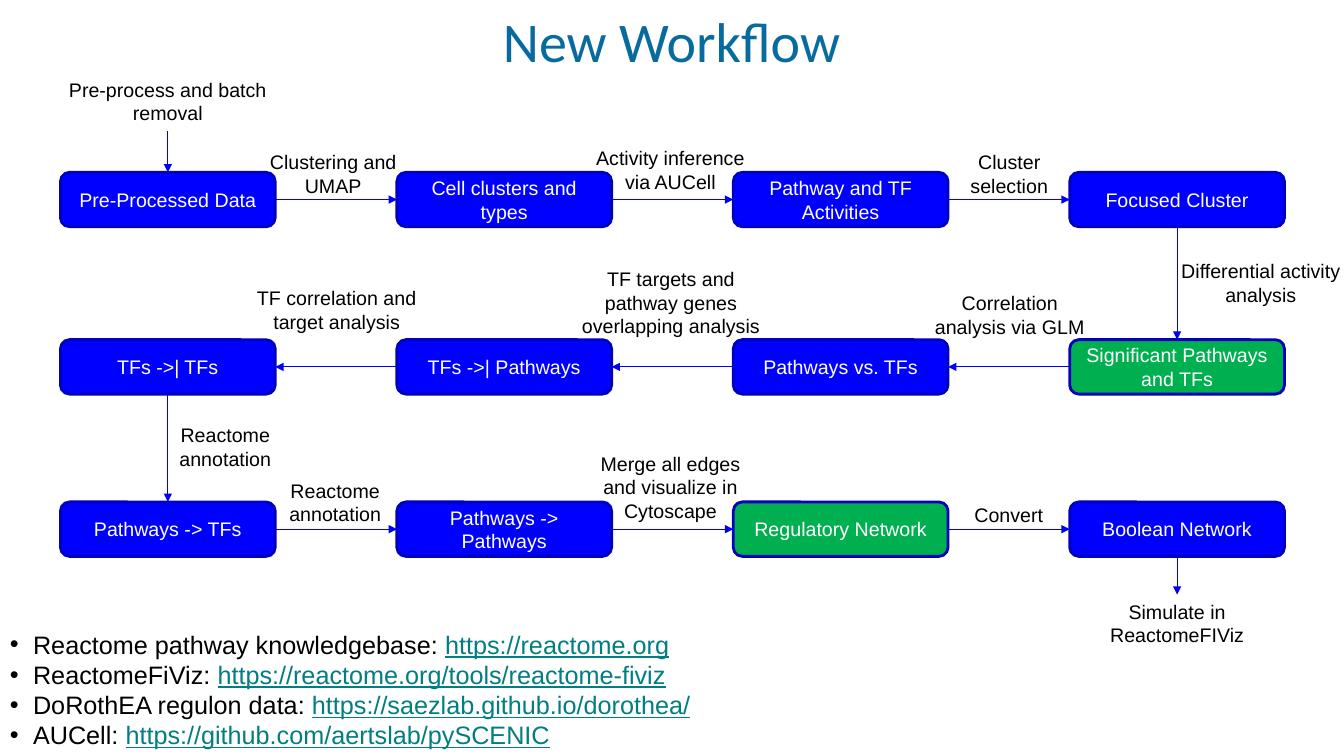
from pptx import Presentation
from pptx.dml.color import RGBColor
from pptx.enum.shapes import MSO_CONNECTOR as Connector, MSO_SHAPE as Shape
from pptx.enum.text import MSO_ANCHOR as Anchor, PP_ALIGN as Align
from pptx.oxml.ns import qn
from pptx.util import Pt
from lxml.etree import SubElement

PX = 9144
BLUE, GREEN, EDGE, ARROW = "0000FF", "00B050", "0000BD", "0000F9"
BLACK, WHITE, LINK, TITLE = "000000", "FFFFFF", "007E82", "076B9E"

STEP_ROWS = [
    ["Pre-Processed Data", "Cell clusters and types", "Pathway and TF Activities", "Focused Cluster"],
    ["TFs ->| TFs", "TFs ->| Pathways", "Pathways vs. TFs", "Significant Pathways and TFs"],
    ["Pathways -> TFs", "Pathways -> Pathways", "Regulatory Network", "Boolean Network"],
]
RESULTS = {"Significant Pathways and TFs", "Regulatory Network"}
ROW_TOPS = [171, 337, 498]
FIRST_LEFT, LAST_LEFT, STEP_WIDTH, STEP_HEIGHT = 60, 1061, 213, 54

START = ("Pre-process and batch removal", 43, 72, 247, 2)
FINISH = ("Simulate in ReactomeFIViz", 1087, 590, 161, 2)
LABELS = [
    ("Clustering and\nUMAP", 228, 144, 205, 2),
    ("Activity inference\nvia AUCell", 568, 140, 194, 2),
    ("Cluster selection", 932, 144, 138, 2),
    ("Differential activity analysis", 1161, 252, 179, 2),
    ("Correlation analysis via GLM", 912, 284, 179, 2),
    ("TF targets and pathway genes overlapping analysis", 559, 260, 213, 3),
    ("TF correlation and target analysis", 234, 279, 200, 2),
    ("Reactome annotation", 157, 415, 133, 2),
    ("Reactome annotation", 277, 470, 111, 2),
    ("Merge all edges and visualize in Cytoscape", 581, 443, 168, 3),
    ("Convert", 945, 494, 111, 1),
]
SOURCES = [
    ("Reactome pathway knowledgebase: ", "https://reactome.org"),
    ("ReactomeFiViz: ", "https://reactome.org/tools/reactome-fiviz"),
    ("DoRothEA regulon data: ", "https://saezlab.github.io/dorothea/"),
    ("AUCell: ", "https://github.com/aertslab/pySCENIC"),
]
TOP_SITE, LEFT_SITE, BOTTOM_SITE, RIGHT_SITE = range(4)


def color(value):
    return RGBColor.from_string(value)


def style(span, size, value, name="Arial"):
    span.font.size, span.font.name = Pt(size), name
    span.font.color.rgb = color(value)


def area(left, top, width, height):
    return [round(length * PX) for length in (left, top, width, height)]


def write(box, text, size, value, name="Arial"):
    frame = box.text_frame
    frame.word_wrap = True
    frame.text = text
    for para in frame.paragraphs:
        para.alignment = Align.CENTER
        for span in para.runs:
            style(span, size, value, name)
    return box


def add_label(page, text, left, top, width, lines):
    box = page.shapes.add_textbox(*area(left, top, width, 10 + 24 * lines))
    return write(box, text, 14, BLACK)


def add_step(page, text, column, row):
    left = FIRST_LEFT + column * (LAST_LEFT - FIRST_LEFT) / 3
    box = page.shapes.add_shape(
        Shape.ROUNDED_RECTANGLE, *area(left, ROW_TOPS[row], STEP_WIDTH, STEP_HEIGHT))
    box.shadow.inherit = False
    box.fill.solid()
    box.fill.fore_color.rgb = color(GREEN if text in RESULTS else BLUE)
    box.line.color.rgb = color(EDGE)
    box.line.width = Pt(2)
    box.text_frame.vertical_anchor = Anchor.MIDDLE
    return write(box, text, 14, WHITE)


def add_arrow(page, source, target):
    if source.top != target.top:
        sites = BOTTOM_SITE, TOP_SITE
    elif source.left < target.left:
        sites = RIGHT_SITE, LEFT_SITE
    else:
        sites = LEFT_SITE, RIGHT_SITE
    arrow = page.shapes.add_connector(Connector.STRAIGHT, 0, 0, 0, 0)
    arrow.begin_connect(source, sites[0])
    arrow.end_connect(target, sites[1])
    arrow.line.color.rgb = color(ARROW)
    arrow.line.width = Pt(0.75)
    SubElement(arrow.line._get_or_add_ln(), qn("a:tailEnd"), type="triangle")
    SubElement(arrow._element.spPr, qn("a:effectLst"))


def add_sources(page):
    box = page.shapes.add_textbox(*area(0, 619, 756, 131))
    box.fill.solid()
    box.fill.fore_color.rgb = color(WHITE)
    frame = box.text_frame
    frame.word_wrap = True
    for index, (topic, address) in enumerate(SOURCES):
        para = frame.add_paragraph() if index else frame.paragraphs[0]
        layout = para._p.get_or_add_pPr()
        layout.set("marL", str(23 * PX))
        layout.set("indent", str(-23 * PX))
        SubElement(layout, qn("a:buFont"), typeface="Arial")
        SubElement(layout, qn("a:buChar"), char="•")
        for text, value in ((topic, BLACK), (address, LINK)):
            span = para.add_run()
            span.text = text
            style(span, 18, value)
            span.font.underline = value == LINK


def main():
    deck = Presentation()
    deck.slide_width, deck.slide_height = 1333 * PX, 750 * PX
    page = deck.slides.add_slide(deck.slide_layouts[6])

    title = page.shapes.add_textbox(*area(235, 6, 862, 92))
    frame = title.text_frame
    frame.margin_left = frame.margin_right = frame.margin_top = frame.margin_bottom = 0
    write(title, "New Workflow", 40, TITLE, "Calibri")
    add_sources(page)

    chain = [add_label(page, *START)]
    for row, names in enumerate(STEP_ROWS):
        steps = [add_step(page, name, column, row) for column, name in enumerate(names)]
        chain += reversed(steps) if row % 2 else steps
    chain.append(add_label(page, *FINISH))
    for source, target in zip(chain, chain[1:]):
        add_arrow(page, source, target)
    for label in LABELS:
        add_label(page, *label)

    deck.save("out.pptx")


if __name__ == "__main__":
    main()
